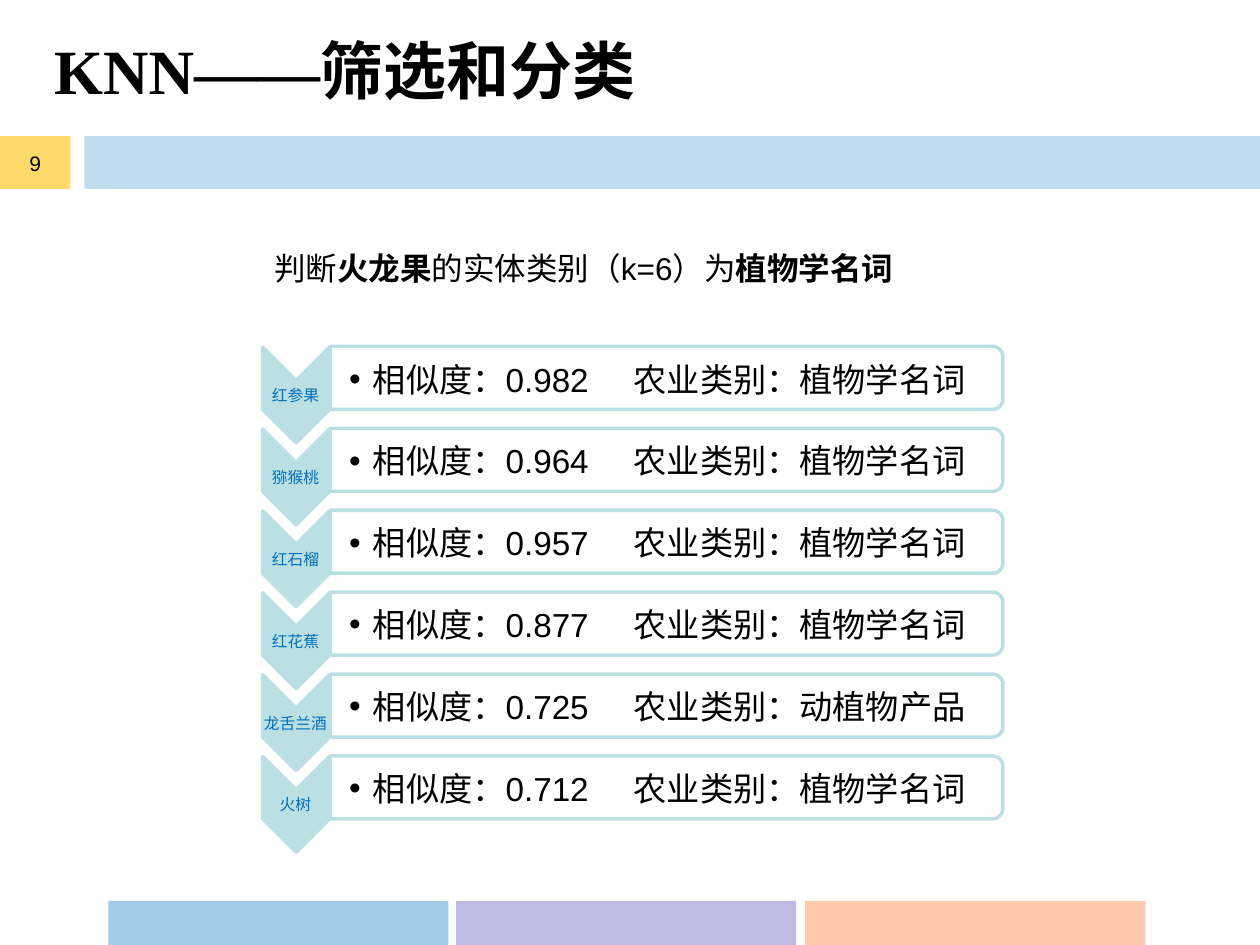
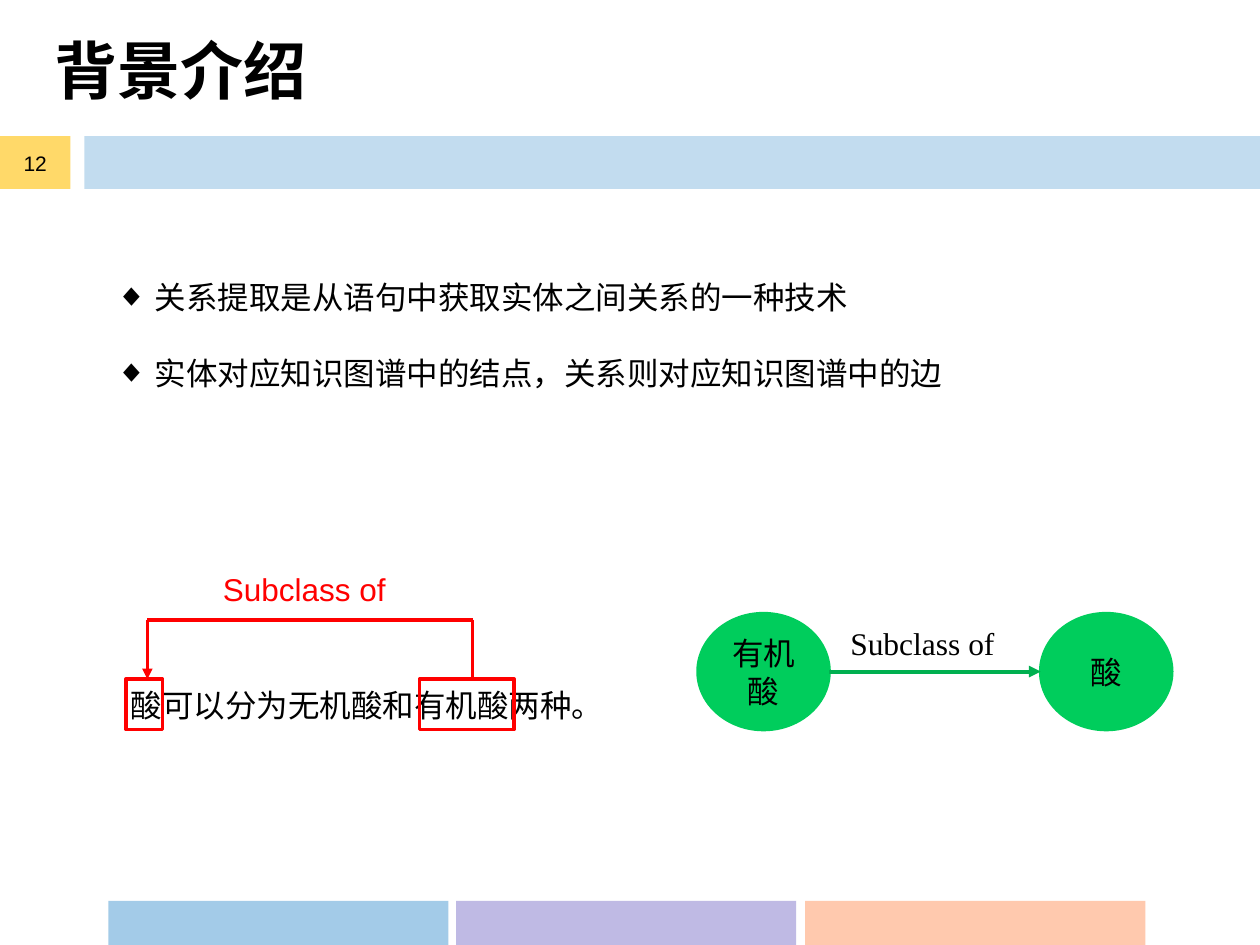
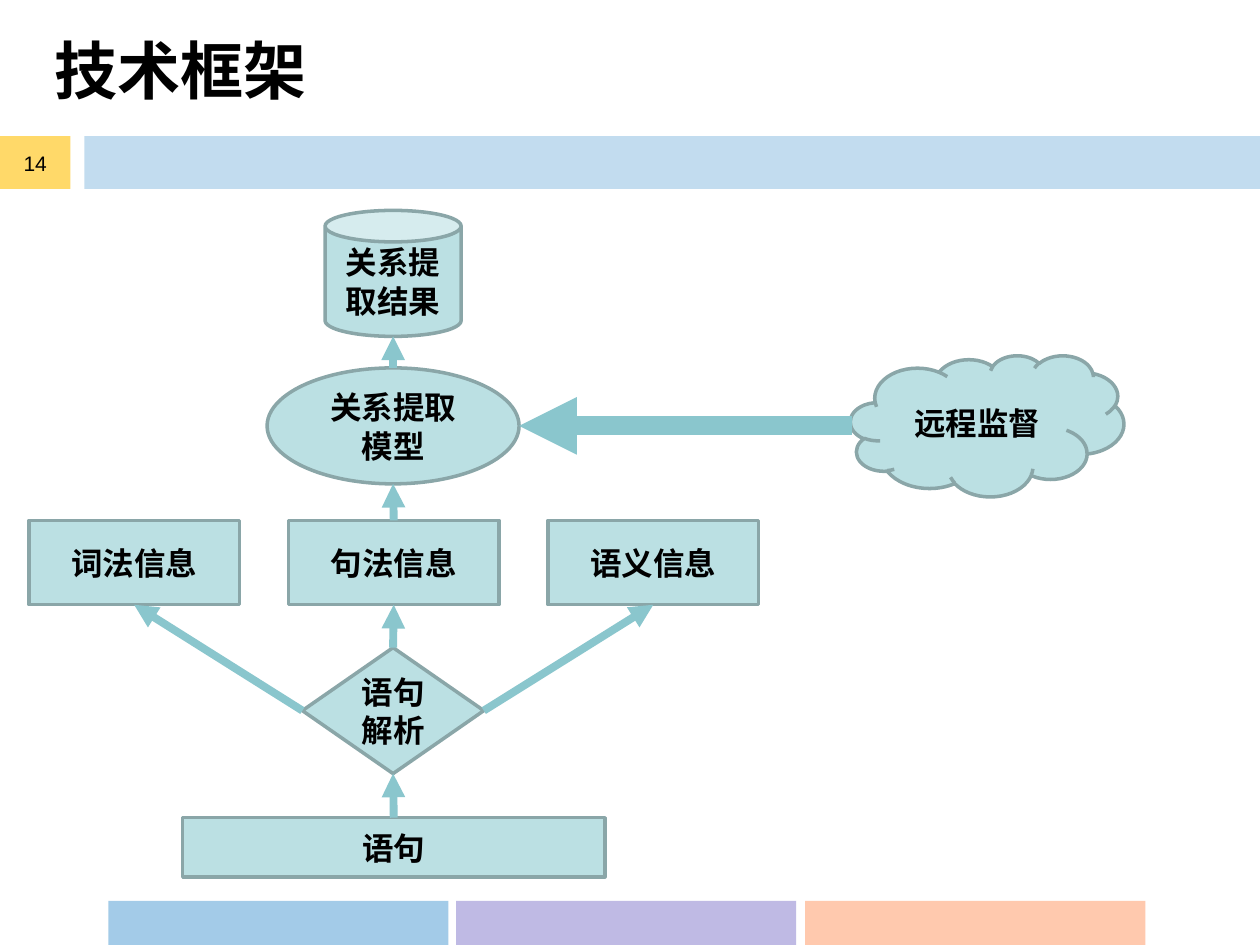
from lxml.etree import SubElement
from pptx import Presentation
from pptx.dml.color import RGBColor
from pptx.enum.shapes import MSO_CONNECTOR, MSO_SHAPE
from pptx.enum.text import MSO_ANCHOR, MSO_AUTO_SIZE, PP_ALIGN
from pptx.oxml.ns import qn
from pptx.util import Inches, Pt

BLACK = RGBColor(0x00, 0x00, 0x00)
WHITE = RGBColor(0xFF, 0xFF, 0xFF)
BLUE = RGBColor(0x00, 0x70, 0xC0)
ORANGE = RGBColor(0xFF, 0x99, 0x66)
LILAC = RGBColor(0xBF, 0xBA, 0xE4)
YELLOW = RGBColor(0xFF, 0xC0, 0x00)
RED = RGBColor(0xFF, 0x00, 0x00)
MINT = RGBColor(0xBB, 0xE0, 0xE3)
MINT_EDGE = RGBColor(0x8A, 0xA6, 0xA8)
ARROW_TEAL = RGBColor(0x8A, 0xC6, 0xCD)
GREEN = RGBColor(0x00, 0xCD, 0x5C)
DARK_GREEN = RGBColor(0x00, 0xB0, 0x50)

SANS = "Arial"
SERIF = "Times New Roman"
CHINESE = "Noto Sans CJK SC"
LINE_RATIO = 1.22

TOP, LEFT, BOTTOM, RIGHT = range(4)

BANDS = [
    (0.86, 7.15, 2.7, 0.36, BLUE, 36),
    (3.62, 7.15, 2.7, 0.36, LILAC, 100),
    (6.39, 7.15, 2.7, 0.36, ORANGE, 53),
    (0.67, 1.08, 9.33, 0.42, BLUE, 24),
]

NEIGHBOURS = [
    ("红参果", "0.982", "植物学名词"),
    ("猕猴桃", "0.964", "植物学名词"),
    ("红石榴", "0.957", "植物学名词"),
    ("红花蕉", "0.877", "植物学名词"),
    ("龙舌兰酒", "0.725", "动植物产品"),
    ("火树", "0.712", "植物学名词"),
]


def add_span(para, text, size, font=SANS, color=BLACK, bold=False):
    """Append one formatted run to a paragraph."""
    span = para.add_run()
    span.text = text
    span.font.name = font
    span.font.size = Pt(size)
    span.font.bold = bold
    span.font.color.rgb = color
    SubElement(span.font._element, qn("a:ea"), typeface=CHINESE)
    para.line_spacing = Pt(round(size * LINE_RATIO))


def set_bullet(para, symbol, indent, tab=None):
    """Give a paragraph a hanging bullet and, if asked, a tab stop."""
    properties = para._p.get_or_add_pPr()
    properties.set("marL", str(Inches(indent)))
    properties.set("indent", str(-Inches(indent)))
    SubElement(properties, qn("a:buFont"), typeface=SANS)
    SubElement(properties, qn("a:buChar"), char=symbol)
    if tab:
        stops = SubElement(properties, qn("a:tabLst"))
        SubElement(stops, qn("a:tab"), pos=str(Inches(tab)), algn="l")


def add_text_box(page, left, top, width, height, anchor=MSO_ANCHOR.TOP, inset=None):
    """Add a wrapping text box and return its first paragraph."""
    box = page.shapes.add_textbox(Inches(left), Inches(top), Inches(width), Inches(height))
    frame = box.text_frame
    frame.word_wrap = True
    frame.vertical_anchor = anchor
    if inset is not None:
        frame.margin_left = Inches(inset)
        frame.margin_right = frame.margin_top = frame.margin_bottom = 0
    return frame.paragraphs[0]


def add_box(page, kind, left, top, width, height, fill=None, edge=None, opacity=100):
    """Add a preset shape without shadow."""
    box = page.shapes.add_shape(kind, Inches(left), Inches(top), Inches(width), Inches(height))
    box.shadow.inherit = False
    if fill is None:
        box.fill.background()
    else:
        box.fill.solid()
        box.fill.fore_color.rgb = fill
        if opacity < 100:
            color = box.fill._xPr.find(qn("a:solidFill"))[0]
            SubElement(color, qn("a:alpha"), val=str(opacity * 1000))
    if edge is None:
        box.line.fill.background()
    else:
        box.line.color.rgb = edge
        box.line.width = Pt(2)
    return box


def add_label(box, text, size=18, font=CHINESE, bold=False):
    """Write centred text inside a shape."""
    frame = box.text_frame
    frame.word_wrap = True
    frame.vertical_anchor = MSO_ANCHOR.MIDDLE
    para = frame.paragraphs[0]
    para.alignment = PP_ALIGN.CENTER
    add_span(para, text, size, font, bold=bold)


def add_line(page, start, end, color, width, arrow=True):
    """Add a straight line, with an arrowhead at its end if asked."""
    line = page.shapes.add_connector(
        MSO_CONNECTOR.STRAIGHT, *(Inches(value) for value in (*start, *end)))
    line.line.color.rgb = color
    line.line.width = Pt(width)
    if arrow:
        SubElement(line.line._get_or_add_ln(), qn("a:tailEnd"), type="triangle")
    SubElement(line._element.spPr, qn("a:effectLst"))
    return line


def add_page(deck, title, number):
    """Add a slide with the shared title, bands and page number."""
    page = deck.slides.add_slide(deck.slide_layouts[5])
    for left, top, width, height, color, opacity in BANDS:
        add_box(page, MSO_SHAPE.RECTANGLE, left, top, width, height, color, opacity=opacity)
    heading = page.shapes.title
    heading.left, heading.top = Inches(0.33), Inches(-0.08)
    heading.width, heading.height = Inches(9.39), Inches(1.25)
    frame = heading.text_frame
    frame.auto_size = MSO_AUTO_SIZE.NONE
    frame.vertical_anchor = MSO_ANCHOR.MIDDLE
    frame.paragraphs[0].alignment = PP_ALIGN.LEFT
    add_span(frame.paragraphs[0], title, 36, SERIF, bold=True)
    badge = add_box(page, MSO_SHAPE.RECTANGLE, 0, 1.08, 0.56, 0.42, YELLOW, opacity=59)
    add_label(badge, number, 12, SANS)
    return page


def add_neighbour(page, top, name, similarity, category):
    """Add one chevron row with its similarity and category."""
    chevron = add_box(page, MSO_SHAPE.CHEVRON, 1.97, top + 0.12, 0.76, 0.53, MINT, MINT)
    chevron.rotation = 90
    para = add_text_box(page, 2.08, top + 0.27, 0.53, 0.23, MSO_ANCHOR.MIDDLE, 0)
    para.alignment = PP_ALIGN.CENTER
    add_span(para, name, 9, color=BLUE)
    bar = add_box(page, MSO_SHAPE.ROUND_2_SAME_RECTANGLE, 5.04, top - 2.42, 0.5, 5.34, WHITE, MINT)
    bar.rotation = 90
    para = add_text_box(page, 2.62, top + 0.03, 5.32, 0.45, MSO_ANCHOR.MIDDLE, 0.15)
    set_bullet(para, "•", 0.19, tab=2.26)
    add_span(para, f"相似度：{similarity}\t农业类别：{category}", 19)


def build_classification(deck):
    """Build the nearest-neighbour slide."""
    page = add_page(deck, "KNN——筛选和分类", "9")
    for row, neighbour in enumerate(NEIGHBOURS):
        add_neighbour(page, 2.75 + row * 0.65, *neighbour)
    para = add_text_box(page, 2.08, 1.92, 6.08, 0.4)
    add_span(para, "判断", 18)
    add_span(para, "火龙果", 18, bold=True)
    add_span(para, "的实体类别（k=6）为", 18)
    add_span(para, "植物学名词", 18, bold=True)


def build_background(deck):
    """Build the slide that introduces relation extraction."""
    page = add_page(deck, "背景介绍", "12")
    first = add_text_box(page, 0.82, 2.15, 8.52, 1.1)
    second = first._parent.add_paragraph()
    second.space_before = Pt(21.5)
    for para, text in (
        (first, "关系提取是从语句中获取实体之间关系的一种技术"),
        (second, "实体对应知识图谱中的结点，关系则对应知识图谱中的边"),
    ):
        set_bullet(para, "◆", 0.31)
        add_span(para, text, 18)

    add_span(add_text_box(page, 0.94, 5.39, 4.01, 0.4), "酸可以分为无机酸和有机酸两种。", 18)
    for left, width in ((1, 0.29), (3.33, 0.75)):
        add_box(page, MSO_SHAPE.RECTANGLE, left, 5.39, width, 0.4, edge=RED)
    add_line(page, (1.17, 4.92), (1.17, 5.39), RED, 1.5)
    add_line(page, (1.17, 4.92), (3.75, 4.92), RED, 2.25, arrow=False)
    add_line(page, (3.75, 4.92), (3.75, 5.39), RED, 2.25, arrow=False)
    add_span(add_text_box(page, 1.67, 4.47, 1.67, 0.4), "Subclass of", 18, color=RED)

    for left, text in ((5.54, "有机酸"), (8.26, "酸")):
        add_label(add_box(page, MSO_SHAPE.OVAL, left, 4.87, 1.04, 0.92, GREEN, GREEN), text)
    add_line(page, (6.58, 5.33), (8.26, 5.33), DARK_GREEN, 2.25)
    add_span(add_text_box(page, 6.65, 4.9, 1.54, 0.4), "Subclass of", 18, SERIF)


def add_step(page, kind, text, left, top, width, height):
    """Add one labelled step of the framework."""
    step = add_box(page, kind, left, top, width, height, MINT, MINT_EDGE)
    add_label(step, text, bold=True)
    return step


def build_framework(deck):
    """Build the technical framework diagram."""
    page = add_page(deck, "技术框架", "14")
    features = [
        add_step(page, MSO_SHAPE.RECTANGLE, text, 0.23 + column * 2.06, 4.13, 1.67, 0.67)
        for column, text in enumerate(("词法信息", "句法信息", "语义信息"))
    ]
    sentence = add_step(page, MSO_SHAPE.RECTANGLE, "语句", 1.45, 6.49, 3.35, 0.47)
    parser = add_step(page, MSO_SHAPE.DIAMOND, "语句解析", 2.4, 5.14, 1.44, 1)
    add_step(page, MSO_SHAPE.OVAL, "关系提取模型", 2.12, 2.92, 2, 0.92)
    add_step(page, MSO_SHAPE.CAN, "关系提取结果", 2.58, 1.67, 1.08, 1)
    add_step(page, MSO_SHAPE.CLOUD, "远程监督", 6.75, 2.82, 2.17, 1.12)

    joints = [(sentence, TOP, parser, BOTTOM)]
    joints += [(parser, side, feature, BOTTOM)
               for side, feature in zip((LEFT, TOP, RIGHT), features)]
    for source, source_side, target, target_side in joints:
        arrow = add_line(page, (0, 0), (1, 1), ARROW_TEAL, 4.5)
        arrow.begin_connect(source, source_side)
        arrow.end_connect(target, target_side)
    to_model = add_line(page, (3.12, 4.13), (3.12, 3.84), ARROW_TEAL, 4.5)
    to_model.begin_connect(features[1], TOP)
    add_line(page, (3.12, 2.92), (3.12, 2.67), ARROW_TEAL, 4.5)
    add_line(page, (6.76, 3.38), (4.12, 3.38), ARROW_TEAL, 11)


def main():
    """Build and save the deck."""
    deck = Presentation()
    deck.slide_width, deck.slide_height = Inches(10), Inches(7.5)
    build_classification(deck)
    build_background(deck)
    build_framework(deck)
    deck.save("out.pptx")


if __name__ == "__main__":
    main()
